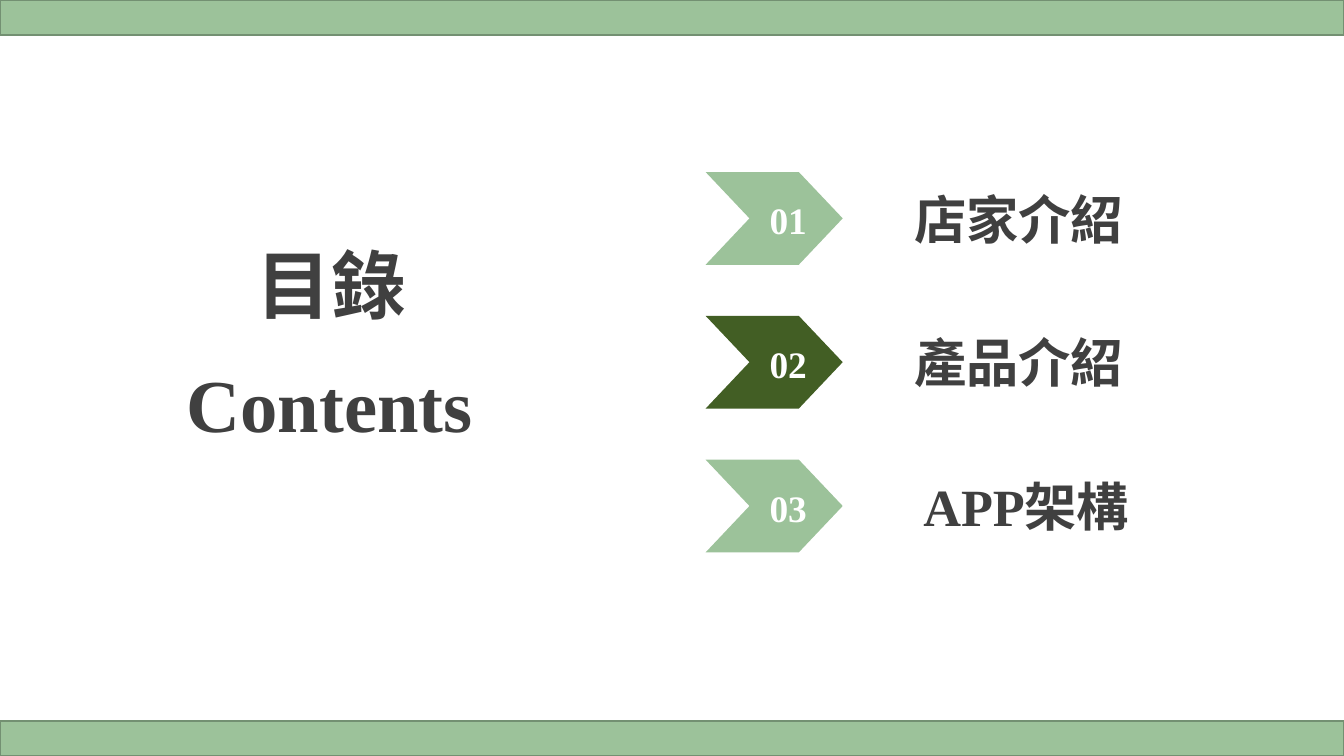
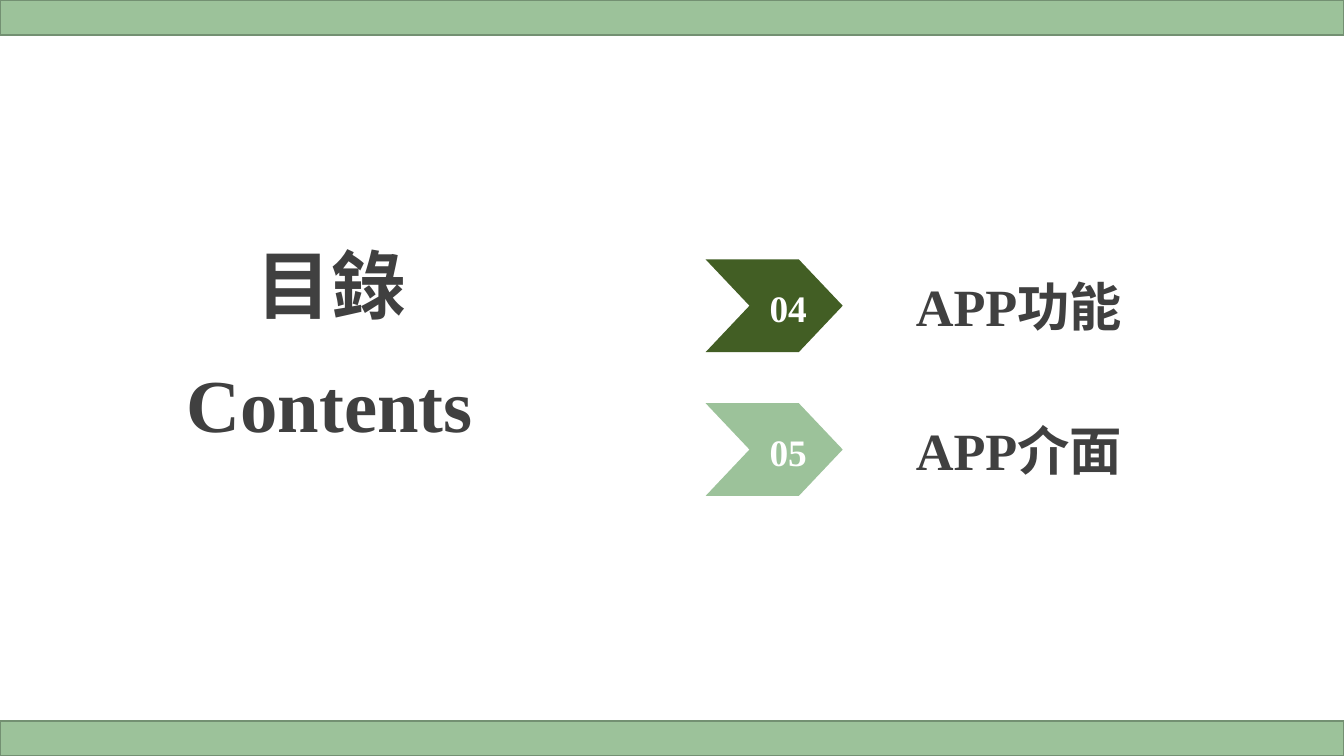
from collections import namedtuple

from pptx import Presentation
from pptx.dml.color import RGBColor
from pptx.enum.shapes import MSO_SHAPE
from pptx.enum.text import MSO_ANCHOR, MSO_AUTO_SIZE, PP_ALIGN
from pptx.util import Inches, Pt

LIGHT_GREEN = RGBColor(0x9C, 0xC2, 0x9A)
DARK_GREEN = RGBColor(0x42, 0x5E, 0x24)
BAND_EDGE = RGBColor(0x73, 0x90, 0x72)
INK = RGBColor(0x40, 0x40, 0x40)
WHITE = RGBColor(0xFF, 0xFF, 0xFF)
FONT = "Times New Roman"

# A 16:9 page.
SLIDE_WIDTH = Inches(10)
SLIDE_HEIGHT = SLIDE_WIDTH * 9 // 16
BAND_HEIGHT = Inches(0.26)

# Agenda grid: one row per entry, a chevron column and a label column.
ROW_PITCH = Inches(1.07)
CHEVRON_LEFT, CHEVRON_WIDTH, CHEVRON_HEIGHT = Inches(5.25), Inches(1.02), Inches(0.69)
LABEL_LEFT, LABEL_WIDTH, LABEL_HEIGHT = Inches(6.67), Inches(1.82), Inches(0.47)
# Corners as shares of the chevron's box.
CHEVRON_CORNERS = [(0, 0), (0.68, 0), (1, 0.5), (0.68, 1), (0, 1), (0.32, 0.5)]

Box = namedtuple("Box", "left top width height")
# An indent sets the label flush left, that far into its column.
Entry = namedtuple("Entry", "number label indent", defaults=[None])

HEADING_BOX = Box(Inches(1.81), Inches(1.73), Inches(1.32), Inches(0.77))
SUBHEADING_BOX = Box(Inches(1.29), Inches(2.61), Inches(2.35), Inches(0.77))

AGENDA_PAGES = [
    (Inches(1.28), [Entry(1, "店家介紹"), Entry(2, "產品介紹"),
                    Entry(3, "APP架構", Inches(0.2))]),
    (Inches(1.93), [Entry(4, "APP功能"), Entry(5, "APP介面")]),
]


def write(shape, text, size, color, align):
    """Put one bold line of text into a shape that grows with it."""
    frame = shape.text_frame
    frame.text = text
    frame.vertical_anchor = MSO_ANCHOR.TOP
    frame.auto_size = MSO_AUTO_SIZE.SHAPE_TO_FIT_TEXT
    para = frame.paragraphs[0]
    para.alignment = align
    para.space_before = Pt(0)
    font = para.runs[0].font
    font.name, font.size, font.bold = FONT, Pt(size), True
    font.color.rgb = color
    return frame


def add_line_of_text(shapes, box, text, size, color, indent=None):
    """Add a text box without insets, centred unless an indent is given."""
    align = PP_ALIGN.CENTER if indent is None else PP_ALIGN.LEFT
    frame = write(shapes.add_textbox(*box), text, size, color, align)
    frame.word_wrap = True
    frame.margin_left = indent or 0
    frame.margin_right = frame.margin_top = frame.margin_bottom = 0


def fill_heading(placeholder, box, text):
    """Move a title placeholder into its box and set its heading."""
    placeholder.left, placeholder.top, placeholder.width, placeholder.height = box
    write(placeholder, text, 40, INK, PP_ALIGN.LEFT).word_wrap = False


def add_chevron(page, box, number):
    """Group a notched arrow with its number; even numbers are dark."""
    group = page.shapes.add_group_shape()
    corners = [(int(box.left + x * box.width), int(box.top + y * box.height))
               for x, y in CHEVRON_CORNERS]
    outline = group.shapes.build_freeform(*corners[0])
    outline.add_line_segments(corners[1:], close=True)
    arrow = outline.convert_to_shape()
    arrow.shadow.inherit = False
    arrow.fill.solid()
    arrow.fill.fore_color.rgb = LIGHT_GREEN if number % 2 else DARK_GREEN
    arrow.line.fill.background()
    number_box = Box(box.left + Inches(0.4), box.top + Inches(0.19),
                     Inches(0.43), Inches(0.34))
    add_line_of_text(group.shapes, number_box, f"{number:02d}", 20, WHITE)


def add_agenda(page, top, entries):
    """Stack the agenda rows from the given top."""
    for row, entry in enumerate(entries):
        row_top = top + row * ROW_PITCH
        add_chevron(page, Box(CHEVRON_LEFT, row_top, CHEVRON_WIDTH, CHEVRON_HEIGHT),
                    entry.number)
        label_top = row_top + (CHEVRON_HEIGHT - LABEL_HEIGHT) // 2
        label_width = LABEL_WIDTH if entry.indent is None else Inches(2.51)
        add_line_of_text(page.shapes,
                         Box(LABEL_LEFT, label_top, label_width, LABEL_HEIGHT),
                         entry.label, 28, INK, entry.indent)


def add_bands(page):
    """Draw the green bands along the top and bottom edges."""
    for top in (0, SLIDE_HEIGHT - BAND_HEIGHT):
        band = page.shapes.add_shape(MSO_SHAPE.RECTANGLE, 0, top,
                                     SLIDE_WIDTH, BAND_HEIGHT)
        band.shadow.inherit = False
        band.fill.solid()
        band.fill.fore_color.rgb = LIGHT_GREEN
        band.line.color.rgb = BAND_EDGE
        band.line.width = Pt(1)


def add_contents_page(deck, top, entries):
    """Build one contents slide: headings, agenda and bands."""
    page = deck.slides.add_slide(deck.slide_layouts[0])
    fill_heading(page.shapes.title, HEADING_BOX, "目錄")
    fill_heading(page.placeholders[1], SUBHEADING_BOX, "Contents")
    add_agenda(page, top, entries)
    add_bands(page)


deck = Presentation()
deck.slide_width, deck.slide_height = SLIDE_WIDTH, SLIDE_HEIGHT
for agenda_top, agenda_entries in AGENDA_PAGES:
    add_contents_page(deck, agenda_top, agenda_entries)
deck.save("out.pptx")
